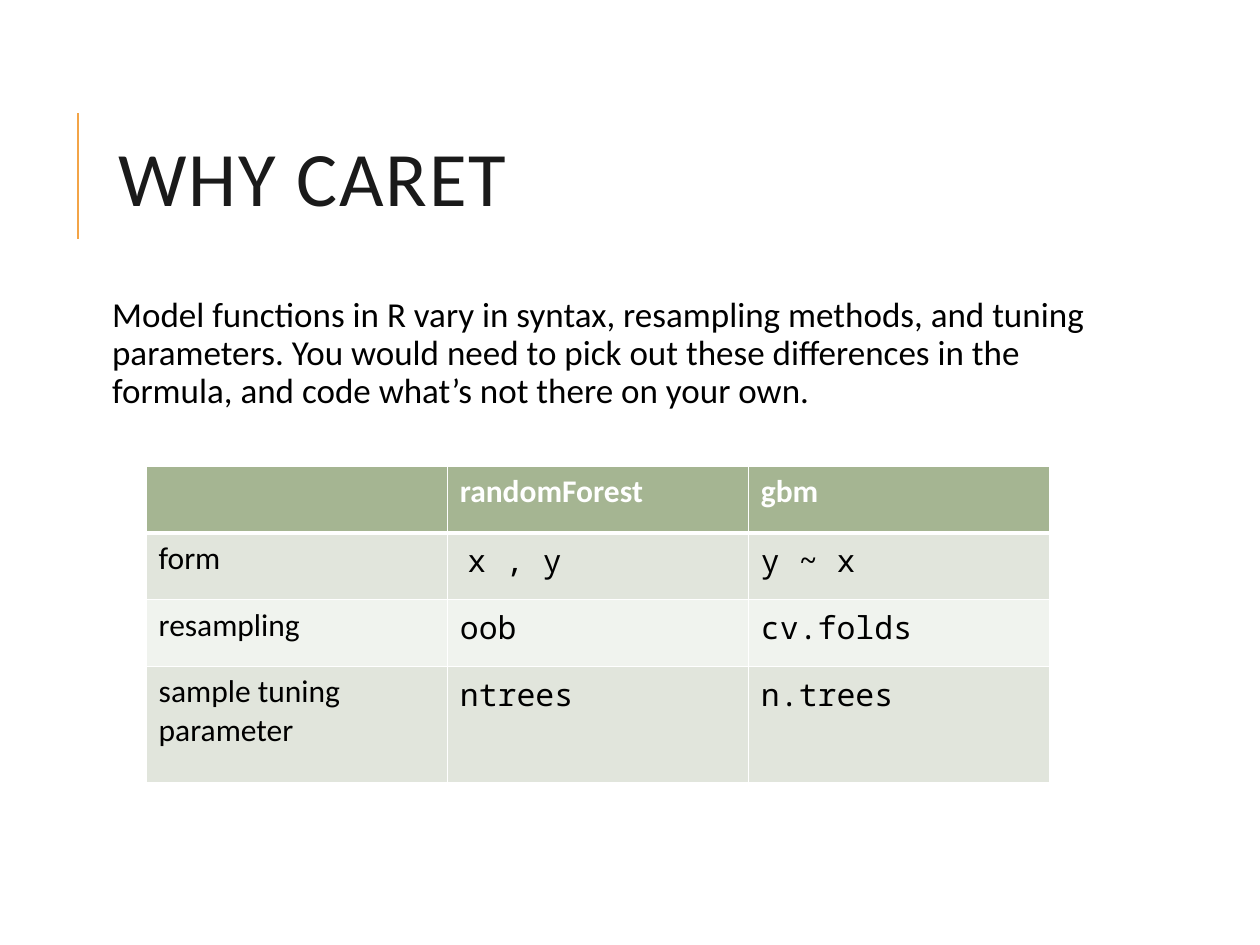
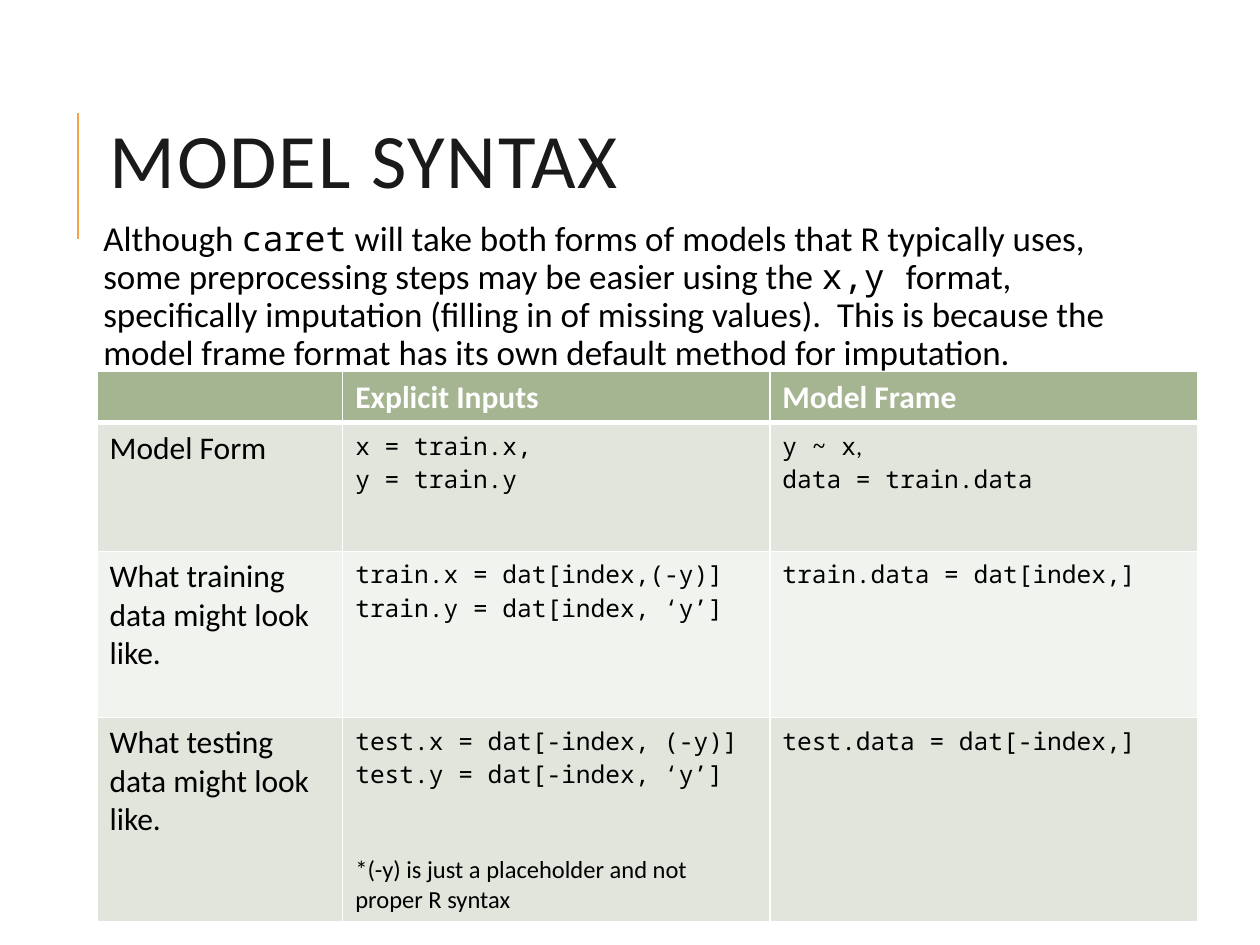
from lxml.etree import SubElement
from pptx import Presentation
from pptx.dml.color import RGBColor
from pptx.enum.shapes import MSO_CONNECTOR as Connector
from pptx.enum.text import MSO_ANCHOR as Anchor, MSO_AUTO_SIZE as AutoSize, PP_ALIGN as Align
from pptx.oxml import parse_xml
from pptx.oxml.ns import nsdecls, qn
from pptx.util import Inches, Pt

COLORS = {
    "accent": "F3A447", "title": "1A1A1A", "text": "000000", "white": "FFFFFF",
    "header": "A5B592", "odd": "E1E5DC", "even": "F0F3EE",
}
SANS, MONO = "Calibri", "Noto Sans Mono"
TITLE = {"name": SANS, "size": Pt(44), "bold": False}
BODY = {"name": SANS, "size": Pt(20), "bold": False}
HEAD = {"name": SANS, "size": Pt(18), "bold": True}
LABEL = {**HEAD, "bold": False}
LABEL_CODE = {**LABEL, "name": MONO}
CODE = {**LABEL_CODE, "size": Pt(14)}
NOTE = {**CODE, "name": SANS}
RULE = (0.62, 0.9, 0.62, 1.9)


def rgb(name):
    """Return the named colour."""
    return RGBColor.from_string(COLORS[name])


def add_span(para, text, style, color="text"):
    """Append a formatted run to a paragraph."""
    span = para.add_run()
    span.text = text
    for name, value in style.items():
        setattr(span.font, name, value)
    span.font.color.rgb = rgb(color)
    return span


def set_frame(frame, **values):
    """Set the attributes of a text frame."""
    for name, value in values.items():
        setattr(frame, name, value)


def place(shape, box):
    """Move a shape to a box given in inches."""
    for name, value in zip(("left", "top", "width", "height"), box):
        setattr(shape, name, Inches(value))


def add_page(deck, text, box):
    """Add a slide with its accent rule and title."""
    page = deck.slides.add_slide(deck.slide_layouts[5])
    rule = page.shapes.add_connector(Connector.STRAIGHT, *map(Inches, RULE))
    rule.line.color.rgb = rgb("accent")
    rule.line.width = Pt(1.5)
    SubElement(rule._element.spPr, qn("a:effectLst"))
    title = page.shapes.title
    place(title, box)
    set_frame(title.text_frame, word_wrap=True, auto_size=AutoSize.NONE,
              vertical_anchor=Anchor.MIDDLE)
    para = title.text_frame.paragraphs[0]
    para.alignment, para.line_spacing = Align.LEFT, 0.8
    span = add_span(para, text, TITLE, "title")
    span._r.get_or_add_rPr().set("spc", "100")
    return page


def add_body(page, box, spans):
    """Add a paragraph of (text, font) spans."""
    frame = page.shapes.add_textbox(*map(Inches, box)).text_frame
    sides = ("margin_left", "margin_top", "margin_right", "margin_bottom")
    set_frame(frame, word_wrap=True, auto_size=AutoSize.NONE,
              **dict.fromkeys(sides, Inches(0.05)))
    para = frame.paragraphs[0]
    para.line_spacing = 0.9
    for text, font in spans:
        add_span(para, text, {**BODY, "name": font})


def set_borders(cell, top, bottom):
    """Draw white cell borders with the given top and bottom widths."""
    widths = {"lnL": 1, "lnR": 1, "lnT": top, "lnB": bottom}
    for index, (tag, width) in enumerate(widths.items()):
        line = parse_xml(
            f'<a:{tag} {nsdecls("a")} w="{Pt(width)}"><a:solidFill>'
            f'<a:srgbClr val="{COLORS["white"]}"/></a:solidFill></a:{tag}>')
        cell._tc.get_or_add_tcPr().insert(index, line)


def fill_cell(cell, paras, color):
    """Write paragraphs of (text, style) spans into a cell."""
    frame = cell.text_frame
    for index, spans in enumerate(paras):
        para = frame.add_paragraph() if index else frame.paragraphs[0]
        for text, style in spans:
            add_span(para, text, style, color)


def add_grid(page, left, top, widths, heights, rows):
    """Add a table with a header row and banded body rows."""
    box = map(Inches, (left, top, sum(widths), sum(heights)))
    table = page.shapes.add_table(len(heights), len(widths), *box).table
    for column, width in zip(table.columns, widths):
        column.width = Inches(width)
    for index, (height, cells) in enumerate(zip(heights, rows)):
        table.rows[index].height = Inches(height)
        band = ("odd" if index % 2 else "even") if index else "header"
        for column, paras in enumerate(cells):
            cell = table.cell(index, column)
            cell.fill.solid()
            cell.fill.fore_color.rgb = rgb(band)
            set_borders(cell, 3 if index == 1 else 1, 1 if index else 3)
            fill_cell(cell, paras, "text" if index else "white")
    return table


def lines(style, *texts):
    """Return one paragraph for each text, all in one style."""
    return [[(text, style)] for text in texts]


def header(*texts):
    """Return a header row whose first cell is empty."""
    return [[]] + [lines(HEAD, text) for text in texts]


def add_why_page(deck):
    """Build the slide that compares two model functions."""
    page = add_page(deck, "WHY CARET", (0.84, 0.64, 7.97, 1.64))
    add_body(page, (0.84, 2.31, 7.97, 4.4), [(
        "Model functions in R vary in syntax, resampling methods, and tuning "
        "parameters. You would need to pick out these differences in the "
        "formula, and code what’s not there on your own.", SANS)])
    rows = [header("randomForest", "gbm")]
    for label, forest, boost in (("form", "x , y", "y ~ x"),
                                 ("resampling", "oob", "cv.folds"),
                                 ("sample tuning parameter", "ntrees", "n.trees")):
        rows.append([lines(LABEL, label), lines(LABEL_CODE, forest),
                     lines(LABEL_CODE, boost)])
    table = add_grid(page, 1.16, 3.7, [2.39] * 3, [0.53] * 3 + [0.92], rows)
    table.cell(1, 1).margin_left = Inches(0.16)


def add_syntax_page(deck):
    """Build the slide that compares two forms of model syntax."""
    page = add_page(deck, "MODEL SYNTAX", (0.77, 0.5, 7.97, 1.64))
    add_body(page, (0.77, 1.71, 8.53, 5), [
        ("Although ", SANS), ("caret", MONO),
        (" will take both forms of models that R typically uses, some "
         "preprocessing steps may be easier using the ", SANS), ("x,y ", MONO),
        ("format, specifically imputation (filling in of missing values).  This "
         "is because the model frame format has its own default method for "
         "imputation.", SANS)])
    rows = [
        header("Explicit Inputs", "Model Frame"),
        [lines(LABEL, "Model Form"), lines(CODE, "x = train.x,", "y = train.y"),
         [[("y ~ x", CODE), (",", NOTE)]] + lines(CODE, "data = train.data")],
        [lines(LABEL, "What training data might look like."),
         lines(CODE, "train.x = dat[index,(-y)]", "train.y = dat[index, ‘y’]"),
         lines(CODE, "train.data = dat[index,]")],
        [lines(LABEL, "What testing data might look like."),
         lines(CODE, "test.x = dat[-index, (-y)]", "test.y = dat[-index, ‘y’]")
         + lines(NOTE, "*(-y) is just a placeholder and not proper R syntax"),
         lines(CODE, "test.data = dat[-index,]")],
    ]
    table = add_grid(page, 0.77, 2.95, [1.95, 3.39, 3.4],
                     [0.36, 1.02, 1.32, 1.52], rows)
    table.cell(3, 1).text_frame.paragraphs[-1].space_before = Pt(37)


deck = Presentation()
deck.slide_width, deck.slide_height = Inches(10), Inches(7.5)
add_why_page(deck)
add_syntax_page(deck)
deck.save("out.pptx")
